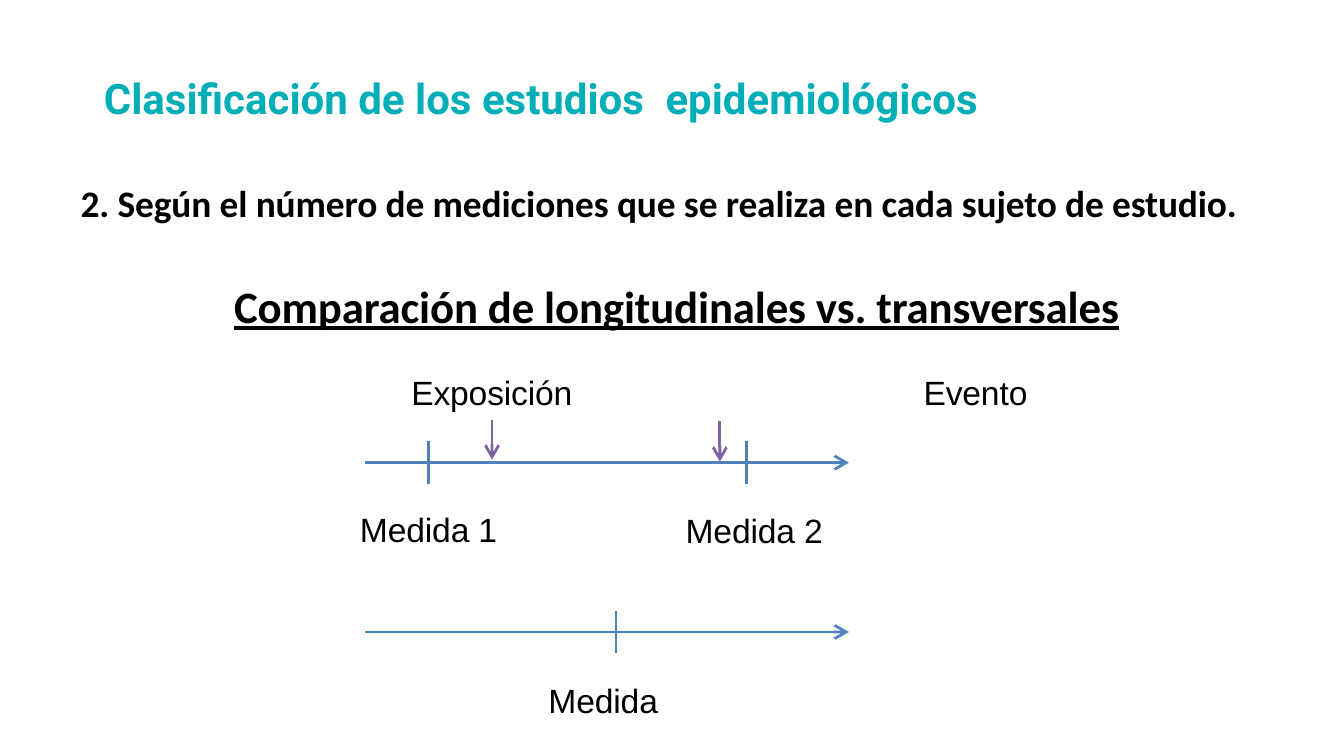
from dataclasses import dataclass

from lxml import etree
from pptx import Presentation
from pptx.dml.color import RGBColor as RGB
from pptx.enum.shapes import MSO_CONNECTOR as Conn
from pptx.enum.text import MSO_ANCHOR as Anchor, MSO_AUTO_SIZE as AutoSize, PP_ALIGN as Align
from pptx.oxml.ns import qn
from pptx.util import Inches, Pt

COLORS = {"title": "00AEB8", "text": "000000", "axis": "4F81BD", "event": "8064A2"}
AXIS_LEFT, AXIS_RIGHT, TICK = 3.62, 8.42, 0.42


@dataclass
class Label:
    text: str
    x: float
    y: float
    width: float


@dataclass
class Timeline:
    y: float
    ticks: tuple[float, ...]
    events: tuple[tuple[float, float, float], ...] = ()  # x, top, bottom


TIMELINES = [
    Timeline(4.59, (4.25, 7.4), ((4.88, 4.17, 4.56), (7.14, 4.18, 4.58))),
    Timeline(6.27, (6.11,)),
]
LABELS = [
    Label("Exposición", 4.06, 3.67, 1.7),
    Label("Evento", 9.14, 3.67, 1.15),
    Label("Medida 1", 3.55, 5.03, 1.41),
    Label("Medida 2", 6.78, 5.04, 1.41),
    Label("Medida", 5.42, 6.72, 1.13),
]


def write(p, text: str, *, size: float, font: str, color: str = "text",
          bold: bool = False, underline: bool = False, spacing: float = 0) -> None:
    """Add a formatted run; spacing is in points."""
    r = p.add_run()
    r.text = text
    f = r.font
    f.size, f.name, f.bold, f.underline = Pt(size), font, bold, underline
    f.color.rgb = RGB.from_string(COLORS[color])
    if spacing:
        r._r.get_or_add_rPr().set("spc", str(round(spacing * 100)))


def place(sp, x: float, y: float, width: float, height: float) -> None:
    sp.left, sp.top, sp.width, sp.height = map(Inches, (x, y, width, height))


def set_frame(tf, side: float, top: float, bottom: float, fit: AutoSize) -> None:
    tf.word_wrap, tf.auto_size, tf.vertical_anchor = True, fit, Anchor.TOP
    tf.margin_left = tf.margin_right = Inches(side)
    tf.margin_top, tf.margin_bottom = Inches(top), Inches(bottom)


def format_paragraph(p, *, before: float = 0, indent: float = 0,
                     align: Align = Align.LEFT) -> None:
    """Set alignment, spacing and indent, without bullet."""
    p.alignment, p.space_before, p.space_after = align, Pt(before), Pt(0)
    pPr = p._p.get_or_add_pPr()
    pPr.set("marL", str(Inches(indent)))
    pPr.set("indent", "0")
    etree.SubElement(pPr, qn("a:buNone"))


def draw_line(shapes, start: tuple[float, float], end: tuple[float, float],
              color: str, arrow: bool = False) -> None:
    c = shapes.add_connector(Conn.STRAIGHT, *map(Inches, start + end))
    c.line.width = Pt(2)
    c.line.color.rgb = RGB.from_string(COLORS[color])
    if arrow:
        ln = c._element.spPr.find(qn("a:ln"))
        etree.SubElement(ln, qn("a:tailEnd"), type="arrow", w="lg", len="lg")
    etree.SubElement(c._element.spPr, qn("a:effectLst"))


def draw_timeline(s, line: Timeline) -> None:
    shapes = s.shapes.add_group_shape().shapes
    draw_line(shapes, (AXIS_LEFT, line.y), (AXIS_RIGHT, line.y), "axis", arrow=True)
    for x in line.ticks:
        draw_line(shapes, (x, line.y - TICK / 2), (x, line.y + TICK / 2), "axis")
    for x, top, bottom in line.events:
        draw_line(shapes, (x, top), (x, bottom), "event", arrow=True)


def draw_label(s, label: Label) -> None:
    sp = s.shapes.add_textbox(*map(Inches, (label.x, label.y, label.width, 0.42)))
    set_frame(sp.text_frame, 0, 0.02, 0, AutoSize.SHAPE_TO_FIT_TEXT)
    p = sp.text_frame.paragraphs[0]
    format_paragraph(p, indent=0.02)
    write(p, label.text, size=24, font="Arial", spacing=-0.1)


def fill_title(sp) -> None:
    place(sp, 0.93, 0.67, 9.78, 0.61)
    set_frame(sp.text_frame, 0.1, 0.05, 0.05, AutoSize.SHAPE_TO_FIT_TEXT)
    p = sp.text_frame.paragraphs[0]
    format_paragraph(p)
    # The gap before the last word is widened by letter spacing
    for text, gap in (("Clasificación de los estudios", 0), (" ", 7.4), ("epidemiológicos", 0)):
        write(p, text, size=30, font="Roboto", color="title", bold=True, spacing=gap)


def fill_body(sp) -> None:
    place(sp, 0.78, 1.77, 11.67, 1.75)
    tf = sp.text_frame
    set_frame(tf, 0, 0.02, 0, AutoSize.NONE)
    topic, heading = tf.paragraphs[0], tf.add_paragraph()

    format_paragraph(topic, indent=0.02)
    write(topic, "2. Según el número de mediciones que se realiza en cada sujeto de estudio.",
          size=26.7, font="Calibri", bold=True, spacing=-0.1)

    format_paragraph(heading, before=38, indent=0.19, align=Align.CENTER)
    write(heading, "Comparación de longitudinales vs. transversales",
          size=32, font="Calibri", bold=True, underline=True, spacing=-0.1)


def main() -> None:
    prs = Presentation()
    prs.slide_width, prs.slide_height = Inches(13.33), Inches(7.5)
    s = prs.slides.add_slide(prs.slide_layouts[1])

    # Title and text
    fill_title(s.shapes.title)
    fill_body(s.placeholders[1])

    # Timelines with their event and measurement labels
    for line in TIMELINES:
        draw_timeline(s, line)
    for label in LABELS:
        draw_label(s, label)

    prs.save("out.pptx")


if __name__ == "__main__":
    main()
